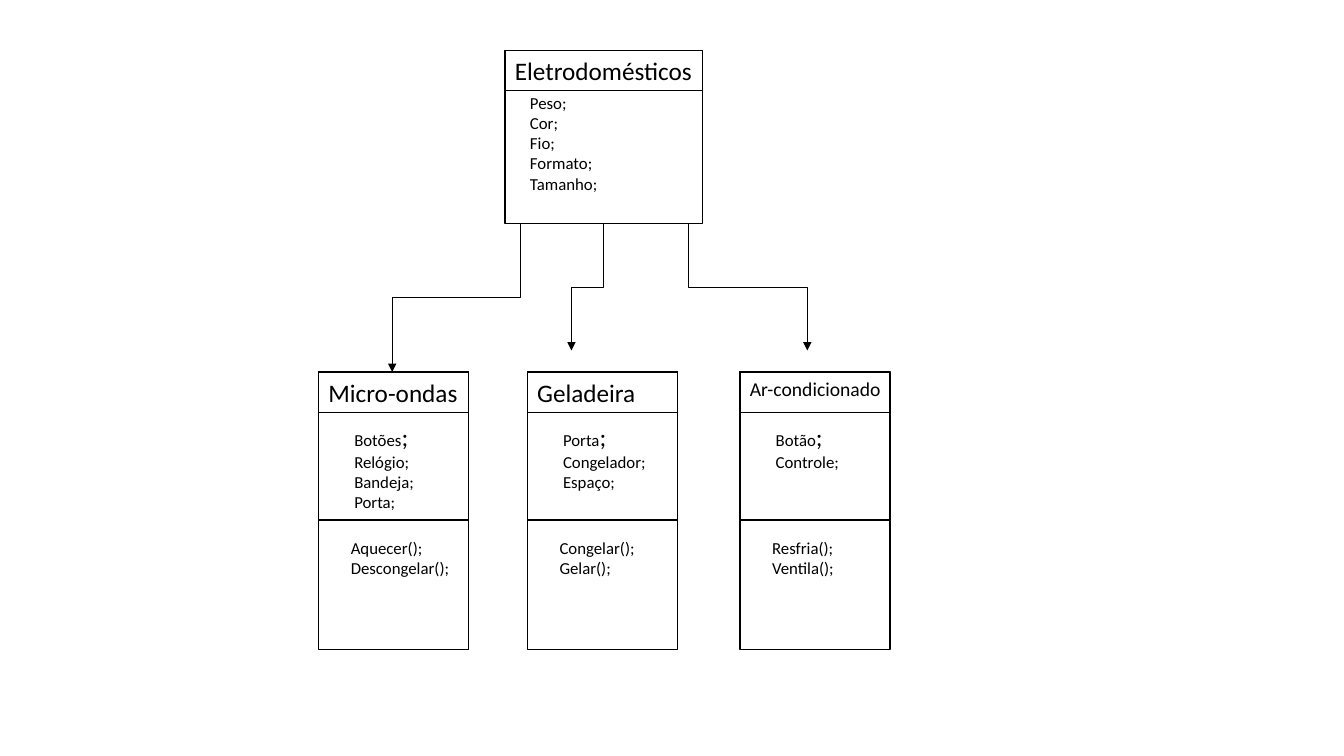
from lxml import etree
from pptx import Presentation
from pptx.dml.color import RGBColor
from pptx.enum.shapes import MSO_CONNECTOR, MSO_SHAPE
from pptx.enum.text import MSO_ANCHOR
from pptx.oxml.ns import qn
from pptx.util import Pt

COLORS = {"ink": "000000"}
FONT = "Calibri"
TITLE_H = 28.8
CLASS_W, CLASS_TOP = 107.3, 265.7
ATTRS_H, METHODS_H = 105.9, 92.2

# left, title, title size, attributes, attribute text width and height, methods
SUBCLASSES = [
    (227.5, "Micro-ondas", 18,
     ["Botões;", "Relógio;", "Bandeja;", "Porta;"], 72, 72.7,
     ["Aquecer();", "Descongelar();"]),
    (528.5, "Ar-condicionado", 14,
     ["Botão;", "Controle;"], 80, 58.2,
     ["Resfria();", "Ventila();"]),
    (376.6, "Geladeira", 18,
     ["Porta;", "Congelador;", "Espaço;"], 80, 58.2,
     ["Congelar();", "Gelar();"]),
]
# start x, start y, end x, end y
ARROWS = [
    (371.5, 159.8, 280.1, 265.7),
    (431.3, 159.8, 408.2, 250.4),
    (491.5, 159.8, 576.7, 250.4),
]


def ink():
    return RGBColor.from_string(COLORS["ink"])


def add_frame(shapes, x, y, w, h):
    sp = shapes.add_shape(MSO_SHAPE.RECTANGLE, Pt(x), Pt(y), Pt(w), Pt(h))
    sp.shadow.inherit = False
    sp.fill.background()
    sp.line.color.rgb = ink()
    sp.line.width = Pt(1)


def add_text(shapes, x, y, w, h, lines):
    """Each line is a list of (text, size) runs."""
    tf = shapes.add_textbox(Pt(x), Pt(y), Pt(w), Pt(h)).text_frame
    tf.word_wrap = True
    tf.vertical_anchor = MSO_ANCHOR.TOP
    for i, runs in enumerate(lines):
        p = tf.add_paragraph() if i else tf.paragraphs[0]
        for text, size in runs:
            r = p.add_run()
            r.text = text
            r.font.name = FONT
            r.font.size = Pt(size)
            r.font.color.rgb = ink()


def plain(lines):
    return [[(line, 12)] for line in lines]


def add_base_class(s):
    shapes = s.shapes.add_group_shape().shapes
    x, y, w = 360.7, 36, 141.1
    add_text(shapes, x, y, 265, TITLE_H, [[("Eletrodomésticos", 18)]])
    add_frame(shapes, x, y, w, TITLE_H)
    add_text(shapes, x + 10.8, 62.6, 89.3, 94.3,
             plain(["Peso;", "Cor;", "Fio;", "Formato;", "Tamanho;"]))
    add_frame(shapes, x, y, w, 123.8)


def add_subclass(s, x, title, size, attrs, attrs_w, attrs_h, methods):
    shapes = s.shapes.add_group_shape().shapes
    y = CLASS_TOP
    # Title
    add_text(shapes, x, y, 133.2, TITLE_H, [[(title, size)]])
    add_frame(shapes, x, y, CLASS_W, TITLE_H)
    # Attributes: the first semicolon is larger
    add_frame(shapes, x, y, CLASS_W, ATTRS_H)
    first = [(attrs[0][:-1], 12), (";", 18)]
    add_text(shapes, x + 18.5, y + 31.7, attrs_w, attrs_h,
             [first] + plain(attrs[1:]))
    # Methods
    add_frame(shapes, x, y + ATTRS_H, CLASS_W, METHODS_H)
    add_text(shapes, x + 16, y + 114.8, 91.4, 51.1, plain(methods))


def add_elbow_arrow(s, x1, y1, x2, y2):
    """Elbow that leaves and arrives vertically: a turned horizontal one."""
    cx, cy = (x1 + x2) / 2, (y1 + y2) / 2
    half_w, half_h = (y2 - y1) / 2, abs(x2 - x1) / 2
    to_right = x2 > x1
    if to_right:
        half_w = -half_w
    c = s.shapes.add_connector(
        MSO_CONNECTOR.ELBOW, Pt(cx - half_w), Pt(cy - half_h),
        Pt(cx + half_w), Pt(cy + half_h))
    c.line.color.rgb = ink()
    c.line.width = Pt(0.5)
    sp_pr = c._element.spPr
    sp_pr.find(qn("a:xfrm")).set("rot", str((270 if to_right else 90) * 60000))
    etree.SubElement(c.line._get_or_add_ln(), qn("a:tailEnd"), type="triangle")
    etree.SubElement(sp_pr, qn("a:effectLst"))


def main():
    prs = Presentation()
    prs.slide_width, prs.slide_height = Pt(960), Pt(540)
    s = prs.slides.add_slide(prs.slide_layouts[6])
    add_base_class(s)
    for subclass in SUBCLASSES:
        add_subclass(s, *subclass)
    for arrow in ARROWS:
        add_elbow_arrow(s, *arrow)
    prs.save("out.pptx")


if __name__ == "__main__":
    main()
